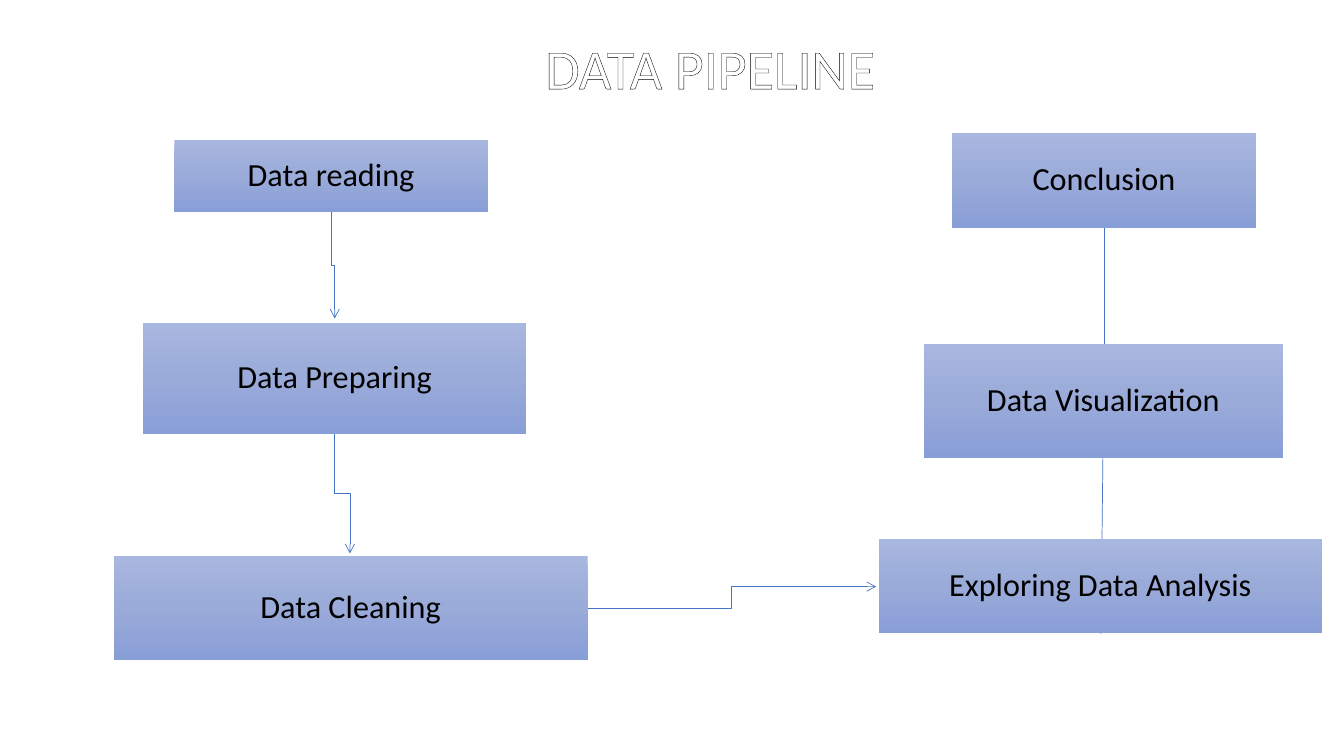
from copy import deepcopy

from lxml import etree
from pptx import Presentation
from pptx.dml.color import RGBColor
from pptx.enum.shapes import MSO_CONNECTOR, MSO_SHAPE
from pptx.enum.text import MSO_ANCHOR, PP_ALIGN
from pptx.oxml.ns import qn
from pptx.util import Emu, Pt

STRAIGHT, ELBOW = MSO_CONNECTOR.STRAIGHT, MSO_CONNECTOR.ELBOW
RECTANGLE = MSO_SHAPE.RECTANGLE
MIDDLE, CENTER = MSO_ANCHOR.MIDDLE, PP_ALIGN.CENTER
EMU_PER_PX = 9144  # 100 px to the inch


def px(length):
    return Emu(round(length * EMU_PER_PX))


def rgb(hex_color):
    return RGBColor.from_string(hex_color)


class PipelineSlide:
    font_name = "Calibri"
    line_color = "4472C4"
    text_color = "000000"
    box_gradient = ("A8B7DF", "9AABD9", "889ED7")

    def __init__(self, slide):
        self.shapes = slide.shapes

    def style_text(self, paragraph, size, color):
        paragraph.font.name = self.font_name
        paragraph.font.size = Pt(size)
        paragraph.font.color.rgb = rgb(color)

    def arrow(self, kind, x1, y1, x2, y2):
        """Draw an arrow; an elbow has its bend halfway."""
        arrow = self.shapes.add_connector(kind, px(x1), px(y1), px(x2), px(y2))
        arrow.line.color.rgb = rgb(self.line_color)
        arrow.line.width = Pt(0.5)
        etree.SubElement(arrow.line._get_or_add_ln(), qn("a:tailEnd"), type="arrow")
        etree.SubElement(arrow._element.spPr, qn("a:effectLst"))
        return arrow

    def down_elbow(self, x1, y1, x2, y2):
        """Lay the elbow on its side about its centre, then turn it to run downwards."""
        mid_x, mid_y = (x1 + x2) / 2, (y1 + y2) / 2
        half_w, half_h = (x2 - x1) / 2, (y2 - y1) / 2
        elbow = self.arrow(ELBOW, mid_x + half_h, mid_y - half_w,
                           mid_x - half_h, mid_y + half_w)
        elbow._element.spPr.find(qn("a:xfrm")).set("rot", "16200000")

    def step(self, label, left, top, width, height):
        box = self.shapes.add_shape(RECTANGLE, px(left), px(top), px(width), px(height))
        box.shadow.inherit = False
        box.line.fill.background()
        box.fill.gradient()
        box.fill.gradient_angle = 270
        stops = box._element.spPr.find(".//" + qn("a:gsLst"))
        stops.insert(1, deepcopy(stops[0]))
        stops[1].set("pos", "50000")
        for stop, color in zip(box.fill.gradient_stops, self.box_gradient):
            stop.color.rgb = rgb(color)

        frame = box.text_frame
        frame.word_wrap = True
        frame.vertical_anchor = MIDDLE
        frame.margin_left = frame.margin_right = px(18)
        frame.margin_top = frame.margin_bottom = px(18)
        paragraph = frame.paragraphs[0]
        paragraph.text = label
        paragraph.alignment = CENTER
        paragraph.line_spacing = 0.9
        self.style_text(paragraph, 23, self.text_color)

    def outlined_title(self, text, left, top, width, height):
        box = self.shapes.add_textbox(px(left), px(top), px(width), px(height))
        box.text_frame.word_wrap = True
        paragraph = box.text_frame.paragraphs[0]
        paragraph.text = text
        self.style_text(paragraph, 40, "FFFFFF")
        outline = etree.Element(qn("a:ln"), w=str(Pt(1.5)))
        fill = etree.SubElement(outline, qn("a:solidFill"))
        etree.SubElement(fill, qn("a:srgbClr"), val=self.text_color)
        paragraph.runs[0]._r.get_or_add_rPr().insert(0, outline)


def main():
    presentation = Presentation()
    presentation.slide_width, presentation.slide_height = px(1333), px(750)
    blank = presentation.slide_layouts[6]
    pipeline = PipelineSlide(presentation.slides.add_slide(blank))

    # Arrows, behind the steps
    pipeline.down_elbow(329, 210, 332, 316)
    pipeline.down_elbow(332, 430, 347, 549)
    pipeline.arrow(ELBOW, 582, 604, 869, 582)
    pipeline.arrow(STRAIGHT, 1092, 629, 1095, 345)
    pipeline.arrow(STRAIGHT, 1095, 454, 1095, 136)

    # Steps, down the left side and up the right
    for step in (
        ("Data reading", 173, 139, 311, 71),
        ("Data Preparing", 142, 320, 380, 111),
        ("Data Cleaning", 113, 552, 470, 103),
        ("Exploring Data Analysis", 872, 535, 439, 93),
        ("Data Visualization", 916, 341, 357, 113),
        ("Conclusion", 944, 132, 302, 94),
    ):
        pipeline.step(*step)

    # Title
    pipeline.outlined_title("DATA PIPELINE", 531, 28, 382, 77)

    presentation.save("out.pptx")


if __name__ == "__main__":
    main()
